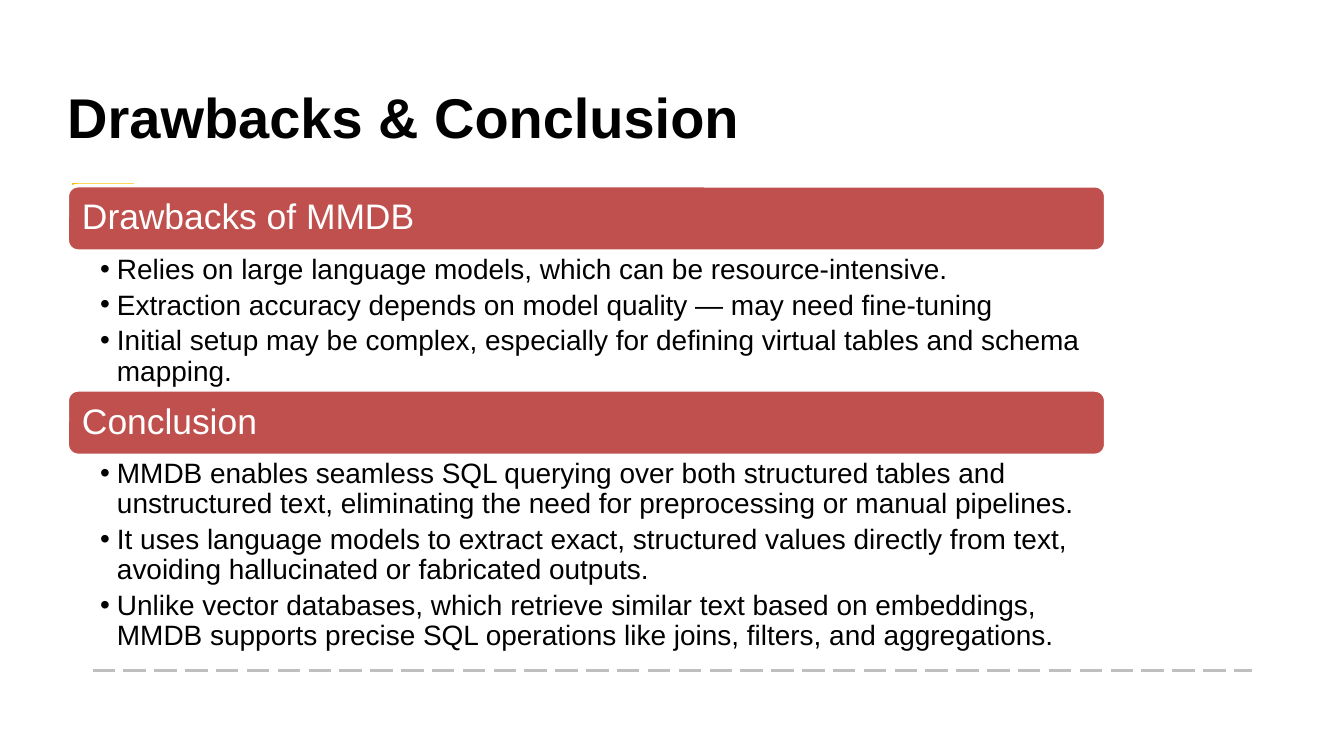
import pptx
import pptx.dml.color
import pptx.enum.dml
import pptx.enum.shapes
import pptx.enum.text
import pptx.util
from lxml import etree

Cm = pptx.util.Cm
Pt = pptx.util.Pt
ANCHOR = pptx.enum.text.MSO_ANCHOR
BAR = 1.24
LEFT, WIDTH = 1.27, 19.63

PARTS = [
    ("Drawbacks of MMDB", 2.62, [
        "Relies on large language models, which can be resource-intensive.",
        "Extraction accuracy depends on model quality — may need fine-tuning",
        "Initial setup may be complex, especially for defining virtual tables "
        "and schema mapping.",
    ]),
    ("Conclusion", 3.71, [
        "MMDB enables seamless SQL querying over both structured tables and "
        "unstructured text, eliminating the need for preprocessing or manual pipelines.",
        "It uses language models to extract exact, structured values directly "
        "from text, avoiding hallucinated or fabricated outputs.",
        "Unlike vector databases, which retrieve similar text based on embeddings, "
        "MMDB supports precise SQL operations like joins, filters, and aggregations.",
    ]),
]


def paint(part, color):
    """Set the colour of a font, or of a fill made solid."""
    if hasattr(part, "solid"):
        part.solid()
        part = part.fore_color
    else:
        part = part.color
    part.rgb = pptx.dml.color.RGBColor.from_string(color)


def place(shape, left, top, width, height):
    shape.left, shape.top = Cm(left), Cm(top)
    shape.width, shape.height = Cm(width), Cm(height)


def setup(frame, anchor, left, top, right, bottom):
    """Set how text sits in its frame; insets are in centimetres."""
    frame.word_wrap = True
    frame.auto_size = pptx.enum.text.MSO_AUTO_SIZE.NONE
    frame.vertical_anchor = anchor
    frame.margin_left, frame.margin_top = Cm(left), Cm(top)
    frame.margin_right, frame.margin_bottom = Cm(right), Cm(bottom)


def style(para, size, color, bold=False, space=0):
    para.alignment = pptx.enum.text.PP_ALIGN.LEFT
    para.space_before = Pt(space)
    for run in para.runs:
        run.font.name = "Arial"
        run.font.size = Pt(size)
        run.font.bold = bold
        paint(run.font, color)


def add_rule(slide, left, top, width, color, weight, dash=None):
    rule = slide.shapes.add_connector(
        pptx.enum.shapes.MSO_CONNECTOR.STRAIGHT,
        Cm(left), Cm(top), Cm(left + width), Cm(top))
    paint(rule.line.fill, color)
    rule.line.width = Pt(weight)
    if dash:
        rule.line.dash_style = dash
    props = rule._element.spPr
    etree.SubElement(props, pptx.oxml.ns.qn("a:effectLst"))


def add_title(slide, text, left, top, width, height):
    title = slide.shapes.title
    place(title, left, top, width, height)
    frame = title.text_frame
    setup(frame, ANCHOR.MIDDLE, 0, 0, 0, 0)
    frame.text = text
    style(frame.paragraphs[0], 30, "000000", bold=True)


def add_bar(slide, text, left, top, width, height):
    bar = slide.shapes.add_shape(
        pptx.enum.shapes.MSO_SHAPE.ROUNDED_RECTANGLE,
        Cm(left), Cm(top), Cm(width), Cm(height))
    bar.shadow.inherit = False
    paint(bar.fill, "BF504D")
    paint(bar.line.fill, "FFFFFF")
    bar.line.width = Pt(2)
    frame = bar.text_frame
    setup(frame, ANCHOR.MIDDLE, 0.22, 0.2, 0.22, 0.2)
    frame.text = text
    style(frame.paragraphs[0], 19, "FFFFFF")
    frame.paragraphs[0].line_spacing = 0.9


def fill_list(body, items, left, top, width, height):
    place(body, left, top, width, height)
    frame = body.text_frame
    setup(frame, ANCHOR.TOP, 0.62, 0.07, 0.38, 0.07)
    frame.text = "\n".join(items)
    for i, para in enumerate(frame.paragraphs):
        style(para, 15, "000000", space=3 if i else 0)
        para.line_spacing = 0.9
        props = para._p.get_or_add_pPr()
        props.set("marL", str(Cm(0.32)))
        props.set("indent", str(-Cm(0.32)))


def add_part(slide, body, head, items, left, top, width, height):
    """Place a header bar with its list below."""
    add_bar(slide, head, left, top, width, BAR)
    fill_list(body, items, left, top + BAR, width, height - BAR)


def main():
    deck = pptx.Presentation()
    deck.slide_width, deck.slide_height = Cm(25.4), Cm(14.29)
    slide = deck.slides.add_slide(deck.slide_layouts.get_by_name("Two Content"))
    add_rule(slide, 1.75, 12.67, 21.92, "BFBFBF", 1.5,
             pptx.enum.dml.MSO_LINE.LONG_DASH)
    add_rule(slide, 1.37, 3.51, 1.17, "FFBF00", 3)
    add_title(slide, "Drawbacks & Conclusion", LEFT, 1.52, WIDTH, 1.35)
    top = 3.51
    for i, (head, depth, items) in enumerate(PARTS, 1):
        body = slide.placeholders[i]
        add_part(slide, body, head, items, LEFT, top, WIDTH, BAR + depth)
        top += BAR + depth
    deck.save("out.pptx")


if __name__ == "__main__":
    main()
